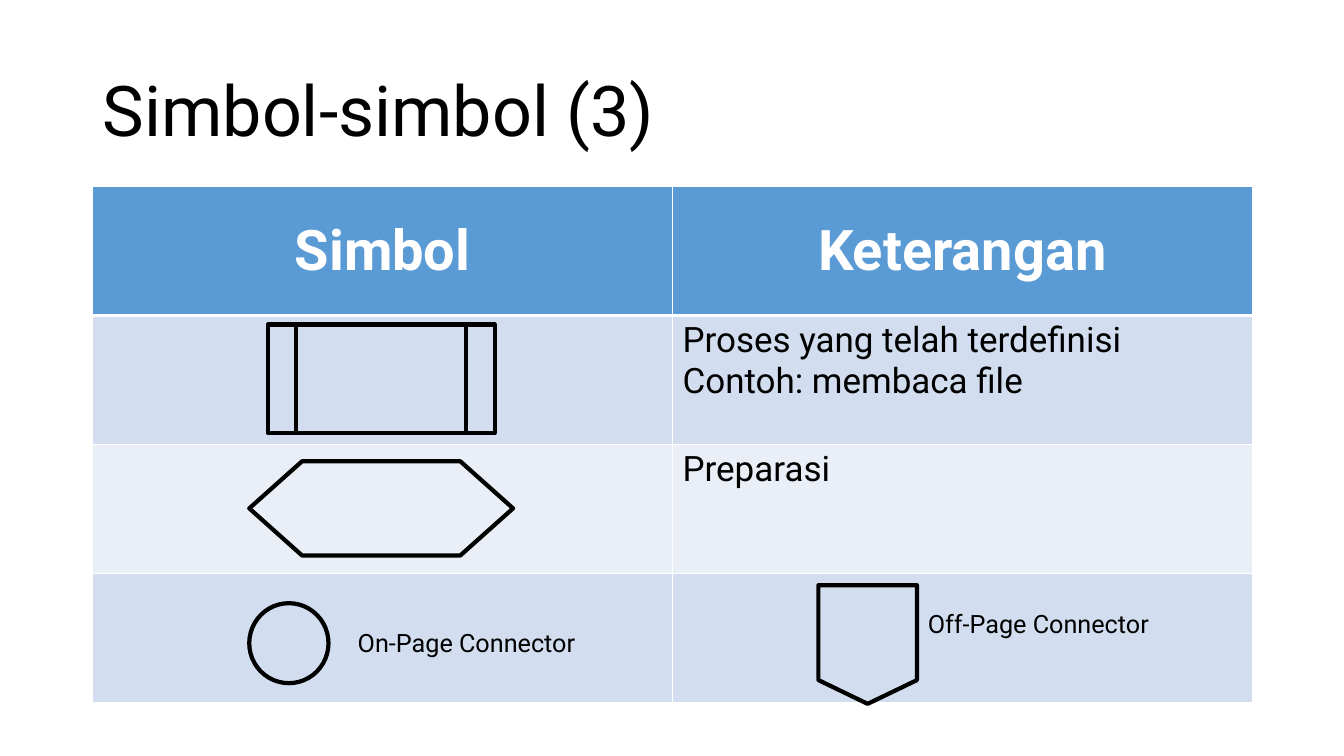
from pptx import Presentation, util as u
from pptx.dml.color import RGBColor
from pptx.enum import shapes, text
from pptx.oxml import parse_xml
from pptx.oxml.ns import nsdecls

BLACK = RGBColor(0, 0, 0)
WHITE = RGBColor(255, 255, 255)
BLUE = RGBColor(0x5B, 0x9B, 0xD5)
BAND_DARK = RGBColor(0xD2, 0xDE, 0xEF)
BAND_LIGHT = RGBColor(0xEA, 0xEF, 0xF7)


class SymbolSlide:
    font = "Roboto"
    left, top = u.Inches(0.92), u.Inches(1.85)
    col, row = u.Inches(11.5 / 12), u.Inches(1.28)

    def __init__(self, prs):
        self.slide = prs.slides.add_slide(prs.slide_layouts[5])

    def area(self, col, row, cols, rows):
        return (int(self.left + col * self.col), int(self.top + row * self.row),
                int(cols * self.col), int(rows * self.row))

    def add_lines(self, tf, lines, size, color=BLACK, bold=False, align=text.PP_ALIGN.LEFT):
        for i, line in enumerate(lines):
            p = tf.paragraphs[0] if i == 0 else tf.add_paragraph()
            p.alignment = align
            r = p.add_run()
            r.text = line
            r.font.name, r.font.size = self.font, u.Pt(size)
            r.font.bold, r.font.color.rgb = bold, color

    def title(self, words):
        sp = self.slide.shapes.title
        sp.left, sp.top, sp.width, sp.height = self.area(0, -1.13, 12, 1.13)
        tf = sp.text_frame
        tf.auto_size = text.MSO_AUTO_SIZE.NONE
        tf.vertical_anchor = text.MSO_ANCHOR.MIDDLE
        self.add_lines(tf, [words], 50)
        tf.paragraphs[0].line_spacing = 0.9

    def borders(self, cell, **points):
        tcPr = cell._tc.get_or_add_tcPr()
        for side in "LRTB":
            tcPr.append(parse_xml(
                f'<a:ln{side} {nsdecls("a")} w="{u.Pt(points.get(side, 1))}">'
                f'<a:solidFill><a:srgbClr val="{WHITE}"/></a:solidFill></a:ln{side}>'))

    def table(self, rows):
        table = self.slide.shapes.add_table(
            len(rows), 2, *self.area(0, 0, 12, len(rows))).table
        for i, row in enumerate(rows):
            table.rows[i].height = self.row
            header = i == 0
            edges = {0: {"B": 3}, 1: {"T": 3}}.get(i, {})
            band = BLUE if header else (BAND_LIGHT, BAND_DARK)[i % 2]
            for j, lines in enumerate(row):
                cell = table.cell(i, j)
                self.borders(cell, **edges)
                cell.fill.solid()
                cell.fill.fore_color.rgb = band
                if header:
                    cell.vertical_anchor = text.MSO_ANCHOR.MIDDLE
                    self.add_lines(cell.text_frame, lines, 40, WHITE, True, text.PP_ALIGN.CENTER)
                else:
                    self.add_lines(cell.text_frame, lines, 25)

    def symbol(self, kind, *area):
        sp = self.slide.shapes.add_shape(kind, *self.area(*area))
        sp.shadow.inherit = False
        sp.fill.background()
        sp.line.color.rgb, sp.line.width = BLACK, u.Pt(3)

    def label(self, words, col, row):
        tf = self.slide.shapes.add_textbox(*self.area(col, row, 3.15, 0.31)).text_frame
        tf.word_wrap = True
        tf.auto_size = text.MSO_AUTO_SIZE.SHAPE_TO_FIT_TEXT
        self.add_lines(tf, [words], 18)


def main():
    prs = Presentation()
    prs.slide_width, prs.slide_height = u.Inches(13.33), u.Inches(7.5)
    s = SymbolSlide(prs)
    s.title("Simbol-simbol (3)")
    s.table([
        (["Simbol"], ["Keterangan"]),
        ([], ["Proses yang telah terdefinisi", "Contoh: membaca file"]),
        ([], ["Preparasi"]),
        ([], []),
    ])
    kinds = shapes.MSO_SHAPE
    s.symbol(kinds.FLOWCHART_PREDEFINED_PROCESS, 1.81, 1.07, 2.35, 0.84)
    s.symbol(kinds.FLOWCHART_PREPARATION, 1.62, 2.13, 2.73, 0.73)
    s.symbol(kinds.FLOWCHART_CONNECTOR, 1.62, 3.23, 0.82, 0.62)
    s.symbol(kinds.FLOWCHART_OFFPAGE_CONNECTOR, 7.51, 3.09, 1.02, 0.92)
    s.label("On-Page Connector", 2.64, 3.38)
    s.label("Off-Page Connector", 8.54, 3.23)
    prs.save("out.pptx")


if __name__ == "__main__":
    main()
